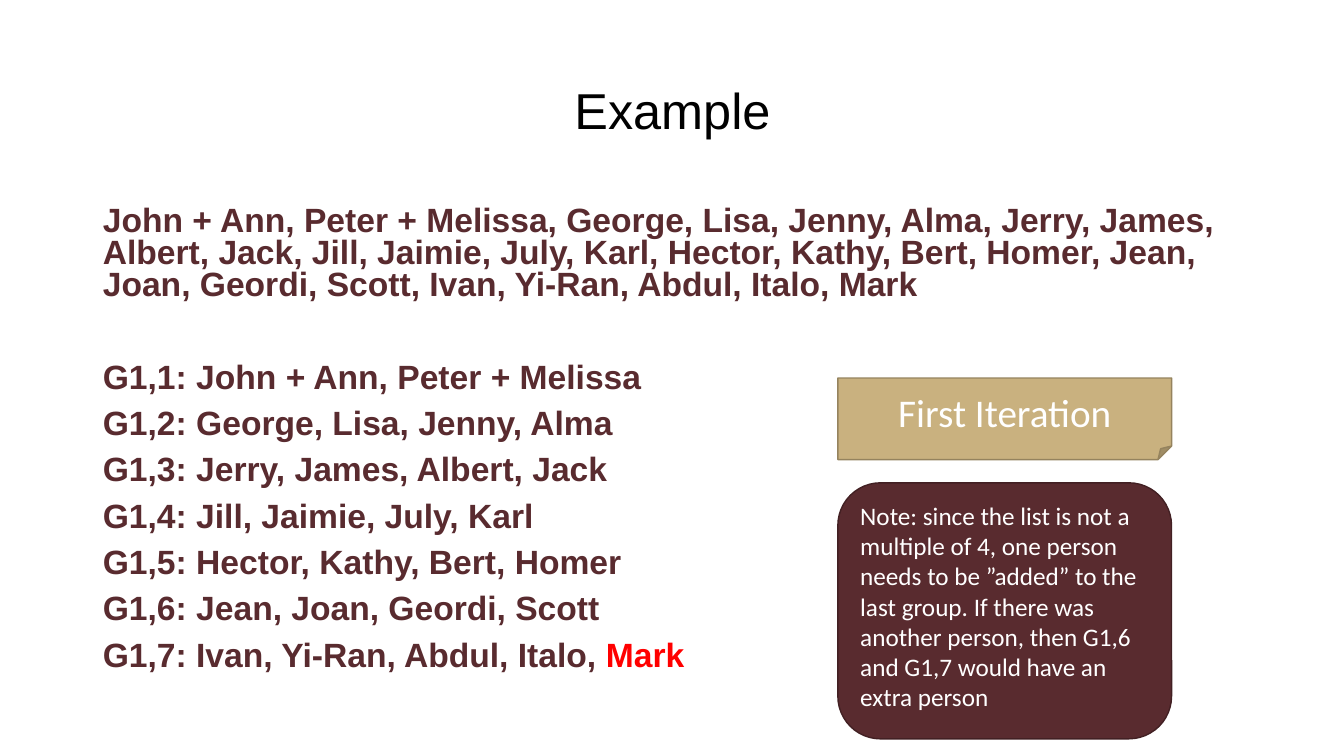
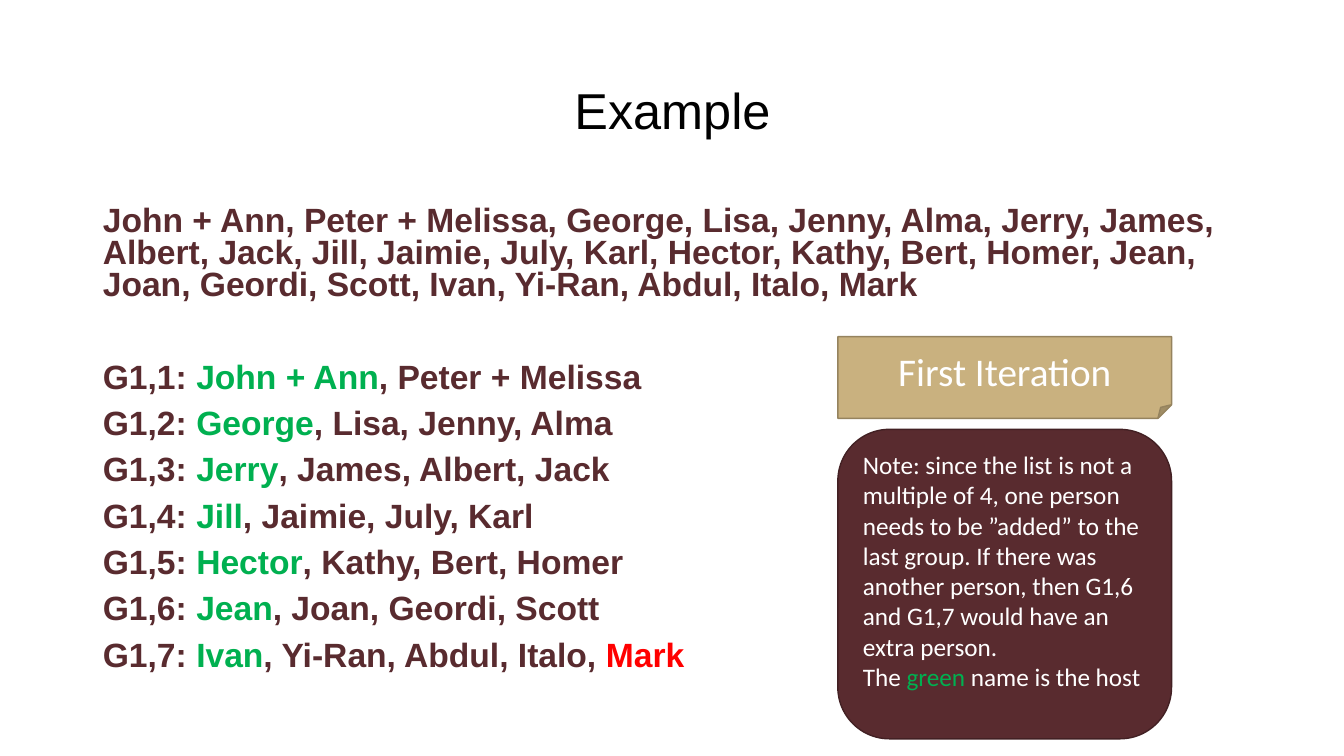
"""Build two example slides that split a list of people into groups of four."""
from pptx import Presentation
from pptx.dml.color import RGBColor
from pptx.enum.shapes import MSO_SHAPE
from pptx.enum.text import MSO_ANCHOR, MSO_AUTO_SIZE, PP_ALIGN
from pptx.util import Inches, Pt
from lxml import etree

FOLDED, ROUNDED = MSO_SHAPE.FOLDED_CORNER, MSO_SHAPE.ROUNDED_RECTANGLE
TOP, MIDDLE = MSO_ANCHOR.TOP, MSO_ANCHOR.MIDDLE
LEFT, CENTER = PP_ALIGN.LEFT, PP_ALIGN.CENTER
NO_AUTOFIT = MSO_AUTO_SIZE.NONE
DRAWING_NS = "{http://schemas.openxmlformats.org/drawingml/2006/main}"

COLORS = {
    "black": "000000", "white": "FFFFFF", "maroon": "592B2F", "maroon_edge": "422023",
    "sand": "C9B17F", "sand_edge": "95835E", "host": "00B050", "extra": "FF0000",
}

GROUPS = [
    ("John + Ann", "Peter + Melissa"),
    ("George", "Lisa, Jenny, Alma"),
    ("Jerry", "James, Albert, Jack"),
    ("Jill", "Jaimie, July, Karl"),
    ("Hector", "Kathy, Bert, Homer"),
    ("Jean", "Joan, Geordi, Scott"),
    ("Ivan", "Yi-Ran, Abdul, Italo"),
]
EXTRA_PERSON = "Mark"
EVERYONE = ", ".join([f"{host}, {others}" for host, others in GROUPS] + [EXTRA_PERSON])

NOTE = ("Note: since the list is not a multiple of 4, one person needs to be ”added” "
        "to the last group. If there was another person, then G1,6 and G1,7 would "
        "have an extra person")
HOST_NOTE = [("The ", "white"), ("green", "host"), (" name is the host", "white")]

SLIDES = [
    {"host_color": "maroon", "label_top": 3.75, "note_top": 4.79,
     "note": [[(NOTE, "white")]]},
    {"host_color": "host", "label_top": 3.34, "note_top": 4.26,
     "note": [[(NOTE + ".", "white")], HOST_NOTE]},
]
NOTE_BOTTOM = 7.33


def write_lines(frame, lines, font, size, align, bold=False):
    """Fill a text frame with paragraphs made of (text, colour) pieces."""
    for number, pieces in enumerate(lines):
        paragraph = frame.add_paragraph() if number else frame.paragraphs[0]
        paragraph.alignment = align
        for text, color in pieces:
            run = paragraph.add_run()
            run.text = text
            run.font.name = font
            run.font.size = Pt(size)
            run.font.bold = bold
            run.font.color.rgb = RGBColor.from_string(COLORS[color])


def add_panel(slide, preset, top, height, color, anchor):
    """Add a filled panel in the right column and return its text frame."""
    panel = slide.shapes.add_shape(preset, Inches(8.31), Inches(top), Inches(3.31), Inches(height))
    panel.shadow.inherit = False
    panel.fill.solid()
    panel.fill.fore_color.rgb = RGBColor.from_string(COLORS[color])
    panel.line.color.rgb = RGBColor.from_string(COLORS[color + "_edge"])
    panel.line.width = Pt(1)
    panel.text_frame.word_wrap = True
    panel.text_frame.vertical_anchor = anchor
    return panel.text_frame


prs = Presentation()
prs.slide_width = Inches(13.33)
prs.slide_height = Inches(7.5)

for content in SLIDES:
    slide = prs.slides.add_slide(prs.slide_layouts[1])

    title, people = slide.shapes.title, slide.placeholders[1]
    for placeholder, top, height in ((title, 0.4, 1.45), (people, 2, 4.76)):
        placeholder.left, placeholder.top = Inches(0.92), Inches(top)
        placeholder.width, placeholder.height = Inches(11.5), Inches(height)
        placeholder.text_frame.auto_size = NO_AUTOFIT

    title.text_frame.vertical_anchor = MIDDLE
    write_lines(title.text_frame, [[("Example", "black")]], "Arial", 36, CENTER)
    title.text_frame.paragraphs[0].line_spacing = 0.9

    lines = [[(EVERYONE, "maroon")]]
    for number, (host, others) in enumerate(GROUPS, 1):
        lines.append([(f"G1,{number}: ", "maroon"), (host, content["host_color"]),
                      (f", {others}", "maroon")])
    lines[-1] += [(", ", "maroon"), (EXTRA_PERSON, "extra")]
    write_lines(people.text_frame, lines, "Arial", 24, LEFT, bold=True)
    for number, paragraph in enumerate(people.text_frame.paragraphs):
        paragraph.line_spacing = 0.8
        paragraph.space_before = Pt(43 if number == 1 else 10)
        properties = paragraph._p.get_or_add_pPr()
        properties.set("marL", "0")
        properties.set("indent", "0")
        etree.SubElement(properties, DRAWING_NS + "buNone")

    label = add_panel(slide, FOLDED, content["label_top"], 0.81, "sand", MIDDLE)
    write_lines(label, [[("First Iteration", "white")]], "Calibri", 28, CENTER)

    note_top = content["note_top"]
    note = add_panel(slide, ROUNDED, note_top, NOTE_BOTTOM - note_top, "maroon", TOP)
    write_lines(note, content["note"], "Calibri", 18, LEFT)

prs.save("out.pptx")
